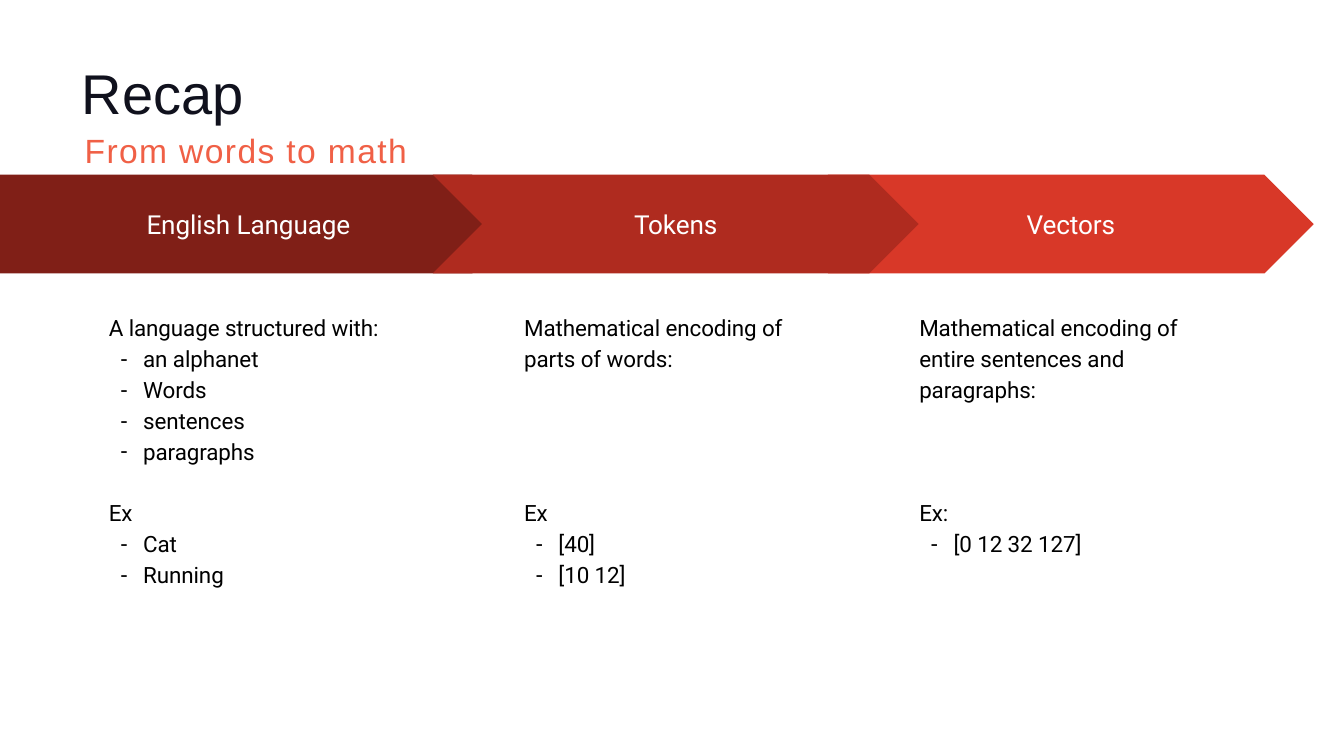
"""Build a recap slide that leads from words through tokens to vectors."""
from dataclasses import dataclass

from lxml import etree
from pptx import Presentation
from pptx.dml.color import RGBColor
from pptx.enum.shapes import MSO_SHAPE
from pptx.enum.text import MSO_ANCHOR, MSO_AUTO_SIZE, PP_ALIGN
from pptx.oxml.ns import qn
from pptx.util import Inches, Pt

LEFT, CENTER = PP_ALIGN.LEFT, PP_ALIGN.CENTER
TOP, MIDDLE = MSO_ANCHOR.TOP, MSO_ANCHOR.MIDDLE
PENTAGON, CHEVRON = MSO_SHAPE.PENTAGON, MSO_SHAPE.CHEVRON
NO_AUTOFIT = MSO_AUTO_SIZE.NONE

INK = RGBColor(0x10, 0x11, 0x1D)
CORAL = RGBColor(0xF0, 0x60, 0x46)
BLACK = RGBColor(0x00, 0x00, 0x00)
WHITE = RGBColor(0xFF, 0xFF, 0xFF)
DARK_RED = RGBColor(0x80, 0x1F, 0x17)
MID_RED = RGBColor(0xAF, 0x2B, 0x1F)
BRIGHT_RED = RGBColor(0xD8, 0x38, 0x28)

COMPARISON_LAYOUT = 4
ARROW_TOP, ARROW_HEIGHT = 2.6, 1.47
INTRO_TOP, FEATURES_TOP, EXAMPLE_TOP, EXAMPLES_TOP = 4.61, 5.07, 7.42, 7.82
COLUMN_WIDTH, LIST_OFFSET, HANGING = 4.1, 0.17, 0.34


@dataclass(frozen=True)
class Stage:
    """One step from language to numbers."""
    label: str
    arrow: int
    arrow_left: float
    arrow_width: float
    color: RGBColor
    text_left: float
    intro: str
    example: str
    examples: tuple[str, ...]
    placeholder: int
    features: tuple[str, ...] = ()


VECTORS = Stage(
    "Vectors", CHEVRON, 12.32, 7.23, BRIGHT_RED, 13.68,
    "Mathematical encoding of entire sentences and paragraphs:",
    "Ex:", ("[0 12 32 127]",), 4,
)
LANGUAGE = Stage(
    "English Language", PENTAGON, 0, 7.76, DARK_RED, 1.62,
    "A language structured with:",
    "Ex", ("Cat", "Running"), 2,
    ("an alphanet", "Words", "sentences", "paragraphs"),
)
TOKENS = Stage(
    "Tokens", CHEVRON, 6.44, 7.23, MID_RED, 7.8,
    "Mathematical encoding of parts of words:",
    "Ex", ("[40]", "[10 12]"), 3,
)
FEATURES_PLACEHOLDER = 1


def place(shape, left: float, top: float, width: float, height: float) -> None:
    """Set the position and size of a shape in inches."""
    shape.left, shape.top = Inches(left), Inches(top)
    shape.width, shape.height = Inches(width), Inches(height)


def prepare_frame(shape, inset_top: float = 0.01, anchor=TOP):
    """Return the wrapped text frame of a shape, with narrow insets."""
    frame = shape.text_frame
    frame.word_wrap = True
    frame.auto_size = NO_AUTOFIT
    frame.vertical_anchor = anchor
    frame.margin_left = frame.margin_right = frame.margin_bottom = 0
    frame.margin_top = Inches(inset_top)
    return frame


def write(frame, text: str, *, size: float = 24, color: RGBColor = BLACK,
          font: str = "Roboto", align=LEFT, tracking: float = -0.1,
          line_spacing: float = 1.0, space_before: float = 0,
          margin: float = 0, bullet: str = "") -> None:
    """Write one formatted paragraph, after any text already in the frame."""
    first = not frame.text
    paragraph = frame.paragraphs[0] if first else frame.add_paragraph()
    properties = paragraph._p.get_or_add_pPr()
    properties.set("marL", str(Inches(margin)))
    properties.set("indent", str(-Inches(HANGING) if bullet else 0))
    if bullet:
        etree.SubElement(properties, qn("a:buChar")).set("char", bullet)
    else:
        etree.SubElement(properties, qn("a:buNone"))
    paragraph.alignment = align
    paragraph.line_spacing = line_spacing
    paragraph.space_before = Pt(0 if first else space_before)
    paragraph.space_after = Pt(0)
    run = paragraph.add_run()
    run.text = text
    run.font.name, run.font.size = font, Pt(size)
    run.font.bold = False
    run.font.color.rgb = color
    run._r.get_or_add_rPr().set("spc", str(round(tracking * 100)))


def fill_title(slide) -> None:
    """Fill the title placeholder with the heading and its subtitle."""
    title = slide.shapes.title
    place(title, 1.22, 0.67, 17.57, 1.8)
    frame = prepare_frame(title, inset_top=0.2)
    write(frame, "Recap", size=60, color=INK, font="Arial")
    write(frame, "From words to math", size=36, color=CORAL, font="Arial",
          tracking=1.5, space_before=4.7, margin=0.04)


def draw_arrow(slide, stage: Stage) -> None:
    """Draw the labelled arrow of a stage."""
    arrow = slide.shapes.add_shape(
        stage.arrow, Inches(stage.arrow_left), Inches(ARROW_TOP),
        Inches(stage.arrow_width), Inches(ARROW_HEIGHT))
    arrow.shadow.inherit = False
    arrow.fill.solid()
    arrow.fill.fore_color.rgb = stage.color
    arrow.line.fill.background()
    frame = prepare_frame(arrow, inset_top=0, anchor=MIDDLE)
    write(frame, stage.label, size=28, color=WHITE, align=CENTER)


def add_text(slide, text: str, left: float, top: float, height: float,
             line_spacing: float = 1.0) -> None:
    """Add a text box one column wide."""
    box = slide.shapes.add_textbox(
        Inches(left), Inches(top), Inches(COLUMN_WIDTH), Inches(height))
    write(prepare_frame(box), text, line_spacing=line_spacing)


def fill_list(slide, index: int, items: tuple[str, ...], left: float,
              top: float) -> None:
    """Fill a body placeholder with a dashed list."""
    body = slide.placeholders[index]
    place(body, left + LIST_OFFSET, top, COLUMN_WIDTH - LIST_OFFSET,
          0.46 * len(items) + 0.02)
    frame = prepare_frame(body, inset_top=0.07)
    for item in items:
        write(frame, item, space_before=4.2, margin=HANGING, bullet="-")


def draw_stage(slide, stage: Stage) -> None:
    """Draw the arrow, the explanation and the examples of a stage."""
    draw_arrow(slide, stage)
    add_text(slide, stage.intro, stage.text_left, INTRO_TOP, 1.4, 1.15)
    add_text(slide, stage.example, stage.text_left, EXAMPLE_TOP, 0.43)
    fill_list(slide, stage.placeholder, stage.examples, stage.text_left,
              EXAMPLES_TOP)
    if stage.features:
        fill_list(slide, FEATURES_PLACEHOLDER, stage.features,
                  stage.text_left, FEATURES_TOP)


def main() -> None:
    """Build and save the presentation."""
    presentation = Presentation()
    presentation.slide_width = Inches(20)
    presentation.slide_height = Inches(11.25)
    layout = presentation.slide_layouts[COMPARISON_LAYOUT]
    slide = presentation.slides.add_slide(layout)
    fill_title(slide)
    for stage in (VECTORS, LANGUAGE, TOKENS):
        draw_stage(slide, stage)
    presentation.save("out.pptx")


if __name__ == "__main__":
    main()
